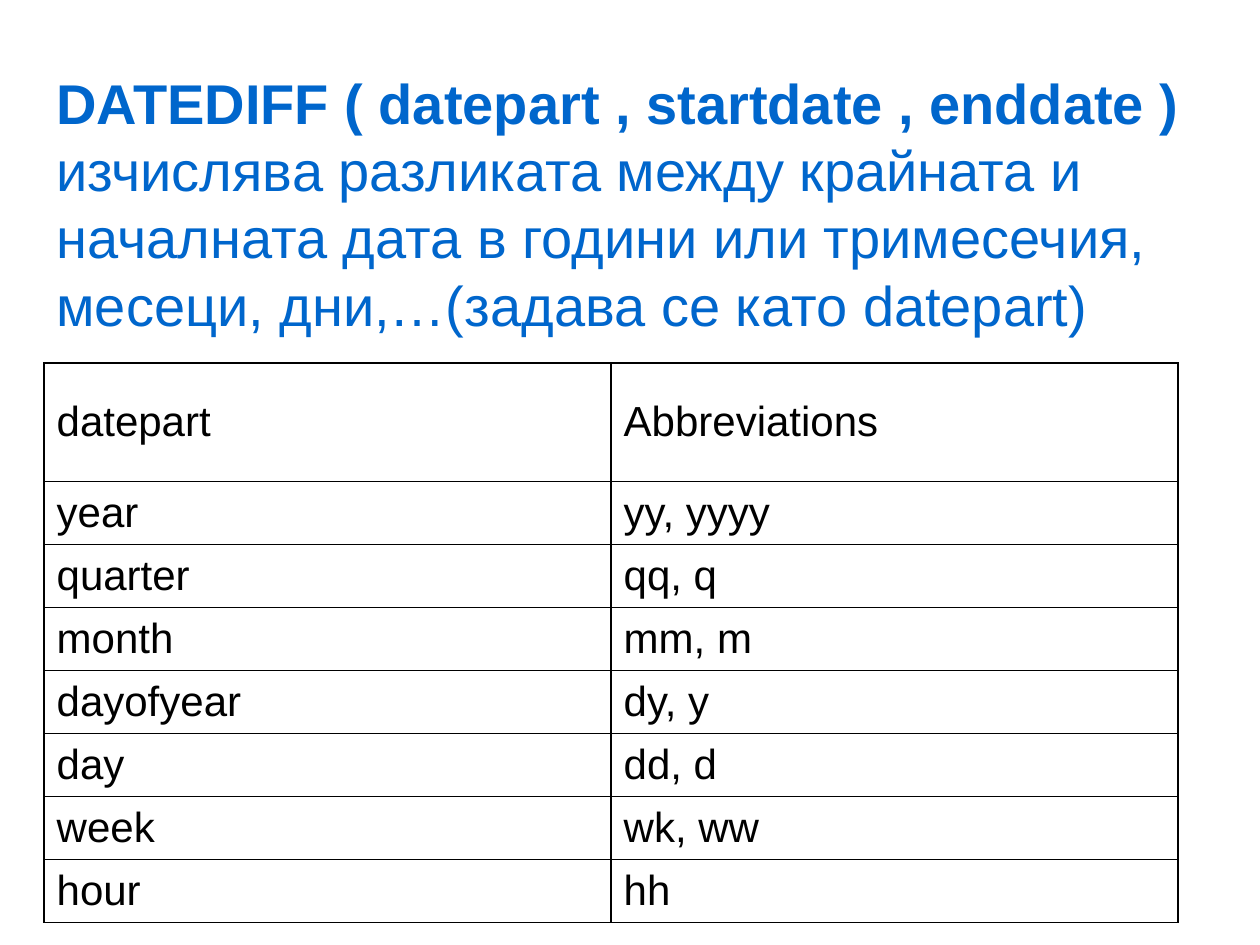
import pptx
import pptx.util
import pptx.dml.color
import pptx.enum.text
import pptx.oxml
import pptx.oxml.ns

Inches, Pt = pptx.util.Inches, pptx.util.Pt
MIDDLE = pptx.enum.text.MSO_ANCHOR.MIDDLE

# Content
SYNTAX = "DATEDIFF ( datepart , startdate , enddate )"
MEANING = ("изчислява разликата между крайната и началната дата в години "
           "или тримесечия, месеци, дни,…(задава се като datepart) ")
DATEPARTS = [
    ("datepart", "Abbreviations"),
    ("year", "yy, yyyy"),
    ("quarter", "qq, q"),
    ("month", "mm, m"),
    ("dayofyear", "dy, y"),
    ("day", "dd, d"),
    ("week", "wk, ww"),
    ("hour", "hh"),
]
HEADING_FORMAT = {"name": "Arial", "size": Pt(32)}
CELL_FORMAT = {"name": "Arial", "size": Pt(24), "bold": False}
LEFT, COLUMN_WIDTH, ROW_HEIGHT = 0.35, 4.5, 0.47


def rgb(value):
    return pptx.dml.color.RGBColor.from_string(value)


def add_run(paragraph, text, color, formats):
    run = paragraph.add_run()
    run.text = text
    for name, value in formats.items():
        setattr(run.font, name, value)
    run.font.color.rgb = rgb(color)


def add_borders(cell, color):
    properties = cell._tc.get_or_add_tcPr()
    for position, side in enumerate(("lnL", "lnR", "lnT", "lnB")):
        properties.insert(position, pptx.oxml.parse_xml(
            f'<a:{side} {pptx.oxml.ns.nsdecls("a")} w="{Pt(1)}"><a:solidFill>'
            f'<a:srgbClr val="{color}"/></a:solidFill></a:{side}>'))


deck = pptx.Presentation()
deck.slide_width, deck.slide_height = Inches(10), Inches(7.5)
slide = deck.slides.add_slide(deck.slide_layouts[6])

# Heading
heading = slide.shapes.add_textbox(
    Inches(LEFT), Inches(0.36), Inches(9.37), Inches(2.5)).text_frame
heading.word_wrap = True
heading.vertical_anchor = MIDDLE
paragraph = heading.paragraphs[0]
add_run(paragraph, SYNTAX, "0066CC", {**HEADING_FORMAT, "bold": True})
paragraph.add_line_break()
add_run(paragraph, MEANING, "0066CC", {**HEADING_FORMAT, "bold": False})

# Table of date parts, with a header row of double height
row_heights = [2 * ROW_HEIGHT] + [ROW_HEIGHT] * (len(DATEPARTS) - 1)
table = slide.shapes.add_table(
    len(DATEPARTS), 2, Inches(LEFT), Inches(2.88),
    Inches(2 * COLUMN_WIDTH), Inches(sum(row_heights))).table
table.first_row = table.horz_banding = False
for column in table.columns:
    column.width = Inches(COLUMN_WIDTH)
for row, height, texts in zip(table.rows, row_heights, DATEPARTS):
    row.height = Inches(height)
    for cell, text in zip(row.cells, texts):
        cell.fill.background()
        cell.vertical_anchor = MIDDLE
        add_run(cell.text_frame.paragraphs[0], text, "000000", CELL_FORMAT)
        add_borders(cell, "000000")

deck.save("out.pptx")
